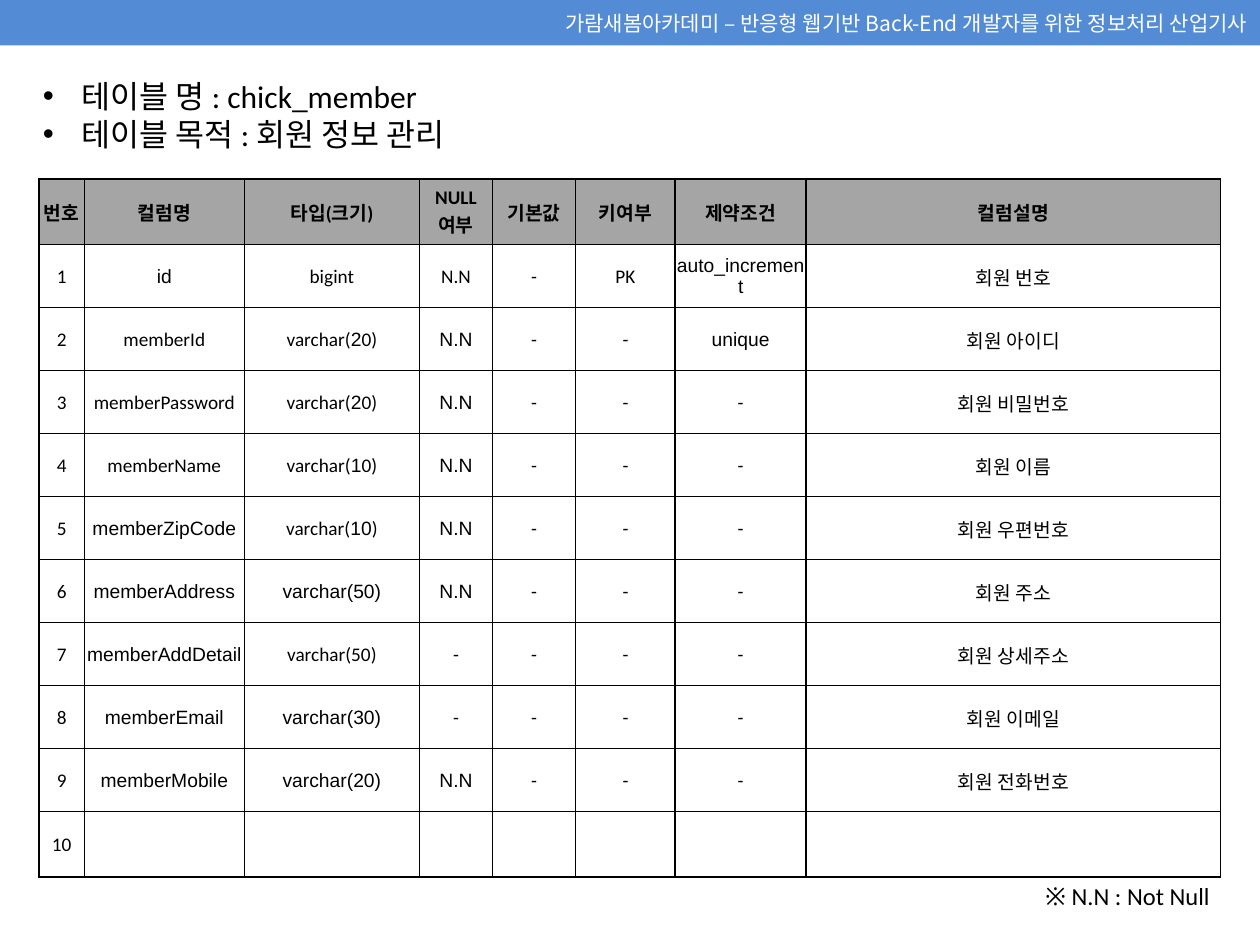
from pptx import Presentation
from pptx.dml.color import RGBColor
from pptx.enum.text import MSO_ANCHOR, MSO_AUTO_SIZE, PP_ALIGN
from pptx.oxml import parse_xml
from pptx.oxml.ns import nsdecls, qn
from pptx.util import Inches, Pt
from lxml.etree import SubElement

LATIN, ALTERNATE, KOREAN = "Calibri", "Arial", "Noto Sans CJK KR"
COLUMN_WIDTHS = [0.36, 1.27, 1.39, 0.58, 0.66, 0.79, 1.04, 3.29]
ROW_HEIGHTS = [0.52] + [0.5] * 9 + [0.52]
HEADINGS = ["번호", "컬럼명", "타입(크기)", "NULL 여부", "기본값", "키여부", "제약조건", "컬럼설명"]
# Text between bars is set in the alternate font.
FIELDS = [
    ["|id", "bigint", "N.N", "-", "PK", "|auto_increment", "회원 번호"],
    ["memberId", "varchar(|2|0)", "|N.N", "-", "-", "|unique", "회원 아이디"],
    ["memberPassword", "varchar(|2|0)", "|N.N", "-", "-", "-", "회원 비밀번호"],
    ["memberName", "varchar(|1|0)", "|N.N", "-", "-", "-", "회원 이름"],
    ["|memberZipCode", "varchar(|10|)", "|N.N", "-", "-", "-", "회원 |우편번호"],
    ["|memberAddress", "|varchar(50)", "|N.N", "-", "-", "-", "회원 |주소"],
    ["|memberAddDetail", "varchar(50)", "-", "-", "-", "-", "회원 |상세주소"],
    ["|memberEmail", "|varchar(30)", "-", "-", "-", "-", "|회원 이메일"],
    ["|memberMobile", "|varchar(20)", "|N.N", "-", "-", "-", "|회원 전화번호"],
    [""] * 7,
]


def rgb(value):
    return RGBColor.from_string(value)


def write(paragraph, text, size=11, color="000000", bold=False, font=LATIN, align=PP_ALIGN.LEFT):
    """Fill a paragraph; bars in the text switch to the alternate font and back."""
    paragraph.alignment = align
    for index, part in enumerate(text.split("|")):
        if not part:
            continue
        run = paragraph.add_run()
        run.text = part
        run.font.size = Pt(size)
        run.font.bold = bold
        run.font.color.rgb = rgb(color)
        run.font.name = ALTERNATE if index % 2 else font
        SubElement(run.font._element, qn("a:ea"), typeface=KOREAN)


def place(shape, left, top, width, height):
    shape.left, shape.top = Inches(left), Inches(top)
    shape.width, shape.height = Inches(width), Inches(height)


def add_borders(cell, color="000000", width=1):
    properties = cell._tc.get_or_add_tcPr()
    for position, side in enumerate(("lnL", "lnR", "lnT", "lnB")):
        properties.insert(position, parse_xml(
            f'<a:{side} {nsdecls("a")} w="{Pt(width)}"><a:solidFill>'
            f'<a:srgbClr val="{color}"/></a:solidFill></a:{side}>'))


class SlideBuilder:
    bar_fill = "538CD5"
    heading_fill = "A5A5A5"

    def __init__(self, slide):
        self.slide = slide

    def header(self, text):
        title = self.slide.shapes.title
        place(title, 0, 0, 10, 0.36)
        title.fill.solid()
        title.fill.fore_color.rgb = rgb(self.bar_fill)
        frame = title.text_frame
        frame.vertical_anchor = MSO_ANCHOR.MIDDLE
        frame.auto_size = MSO_AUTO_SIZE.NONE
        write(frame.paragraphs[0], text, size=12, color="FFFFFF", font=KOREAN, align=PP_ALIGN.RIGHT)

    def bullets(self, items):
        body = self.slide.placeholders[1]
        place(body, 0.24, 0.56, 9.49, 0.71)
        frame = body.text_frame
        frame.auto_size = MSO_AUTO_SIZE.SHAPE_TO_FIT_TEXT
        for index, item in enumerate(items):
            paragraph = frame.add_paragraph() if index else frame.paragraphs[0]
            paragraph.space_before = Pt(0)
            properties = paragraph._p.get_or_add_pPr()
            properties.set("marL", str(Inches(0.31)))
            properties.set("indent", str(Inches(-0.31)))
            write(paragraph, item, size=18)

    def cell(self, cell, text, heading):
        cell.margin_left = cell.margin_right = cell.margin_top = Inches(0.01)
        cell.margin_bottom = 0
        cell.vertical_anchor = MSO_ANCHOR.MIDDLE
        if heading:
            cell.fill.solid()
            cell.fill.fore_color.rgb = rgb(self.heading_fill)
        else:
            cell.fill.background()
        add_borders(cell)
        write(cell.text_frame.paragraphs[0], text, bold=heading, align=PP_ALIGN.CENTER)

    def table(self, rows):
        table = self.slide.shapes.add_table(
            len(rows), len(COLUMN_WIDTHS), Inches(0.31), Inches(1.42),
            Inches(sum(COLUMN_WIDTHS)), Inches(sum(ROW_HEIGHTS))).table
        table.first_row = table.horz_banding = False
        for column, width in zip(table.columns, COLUMN_WIDTHS):
            column.width = Inches(width)
        for r, (values, height) in enumerate(zip(rows, ROW_HEIGHTS)):
            table.rows[r].height = Inches(height)
            for c, value in enumerate(values):
                self.cell(table.cell(r, c), value, heading=r == 0)

    def note(self, text):
        box = self.slide.shapes.add_textbox(Inches(8.15), Inches(6.94), Inches(1.55), Inches(0.34))
        box.text_frame.word_wrap = True
        box.text_frame.auto_size = MSO_AUTO_SIZE.SHAPE_TO_FIT_TEXT
        write(box.text_frame.paragraphs[0], text, size=14, align=PP_ALIGN.RIGHT)


def main():
    deck = Presentation()
    deck.slide_width, deck.slide_height = Inches(10), Inches(7.5)
    builder = SlideBuilder(deck.slides.add_slide(deck.slide_layouts[1]))
    builder.header("가람새봄아카데미 – 반응형 웹기반 Back-End 개발자를 위한 정보처리 산업기사")
    builder.bullets(["테이블 명 : chick_member", "테이블 목적 : 회원 정보 관리"])
    numbered = [[str(number), *field] for number, field in enumerate(FIELDS, 1)]
    builder.table([HEADINGS, *numbered])
    builder.note("※ N.N : Not Null")
    deck.save("out.pptx")


if __name__ == "__main__":
    main()
